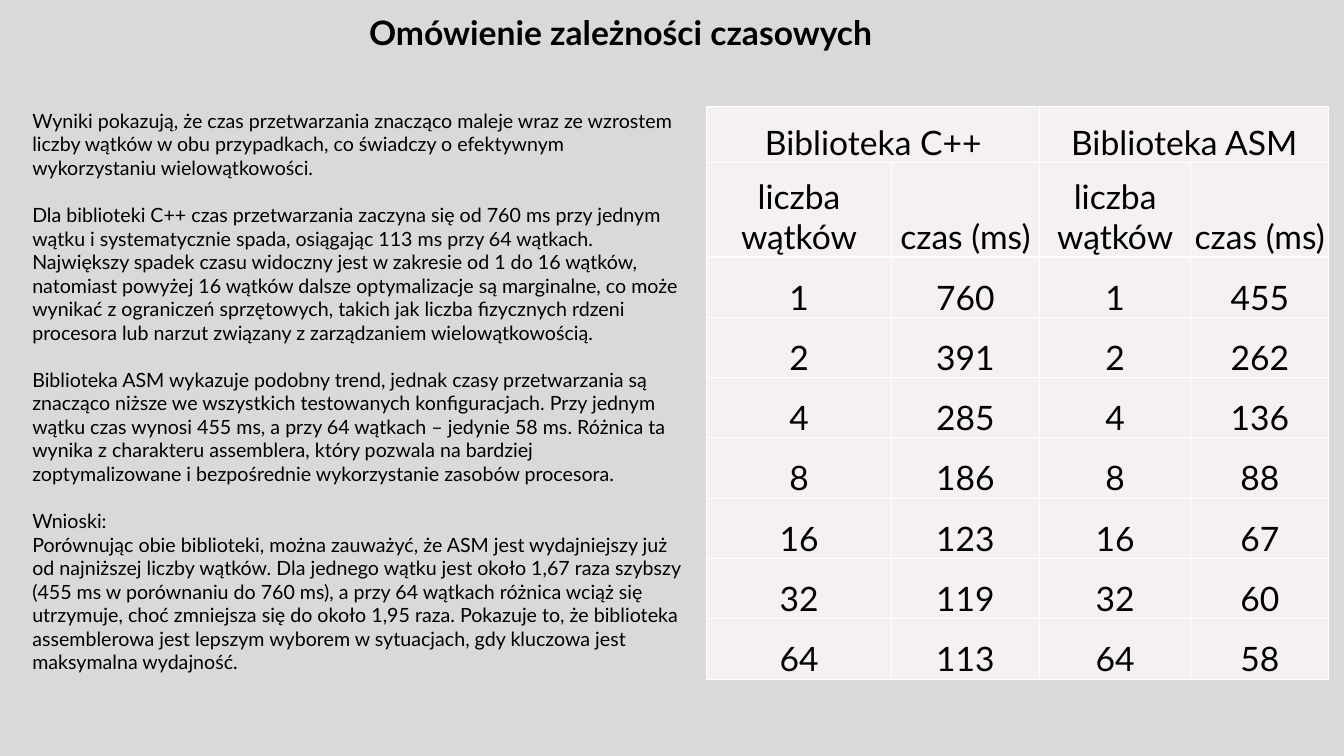
from dataclasses import dataclass

from lxml.etree import SubElement
from pptx import Presentation
from pptx.dml.color import RGBColor as Color
from pptx.enum.text import MSO_ANCHOR as Anchor, MSO_AUTO_SIZE as AutoSize, PP_ALIGN as Align
from pptx.oxml import parse_xml
from pptx.oxml.ns import nsdecls, qn
from pptx.util import Inches, Pt


@dataclass(frozen=True)
class Theme:
    font: str = "Lato"
    ink: str = "000000"
    background: str = "D9D9D9"
    cell: str = "F5F1F2"
    border: str = "FFFFFF"
    heading_size: int = 24
    body_size: int = 14
    paragraph_gap: float = 16.8


TITLE = "Omówienie zależności czasowych"
BODY = [
    ["Wyniki pokazują, że czas przetwarzania znacząco maleje wraz ze wzrostem liczby wątków "
     "w obu przypadkach, co świadczy o efektywnym wykorzystaniu wielowątkowości."],
    ["Dla biblioteki C++ czas przetwarzania zaczyna się od 760 ms przy jednym wątku "
     "i systematycznie spada, osiągając 113 ms przy 64 wątkach. Największy spadek czasu "
     "widoczny jest w zakresie od 1 do 16 wątków, natomiast powyżej 16 wątków dalsze "
     "optymalizacje są marginalne, co może wynikać z ograniczeń sprzętowych, takich jak "
     "liczba fizycznych rdzeni procesora lub narzut związany z zarządzaniem wielowątkowością."],
    ["Biblioteka ASM wykazuje podobny trend, jednak czasy przetwarzania są znacząco niższe "
     "we wszystkich testowanych konfiguracjach. Przy jednym wątku czas wynosi 455 ms, "
     "a przy 64 wątkach – jedynie 58 ms. Różnica ta wynika z charakteru assemblera, który "
     "pozwala na bardziej zoptymalizowane i bezpośrednie wykorzystanie zasobów procesora."],
    ["Wnioski:",
     "Porównując obie biblioteki, można zauważyć, że ASM jest wydajniejszy już od najniższej "
     "liczby wątków. Dla jednego wątku jest około 1,67 raza szybszy (455 ms w porównaniu do "
     "760 ms), a przy 64 wątkach różnica wciąż się utrzymuje, choć zmniejsza się do około "
     "1,95 raza. Pokazuje to, że biblioteka assemblerowa jest lepszym wyborem w sytuacjach, "
     "gdy kluczowa jest maksymalna wydajność."],
]
LIBRARIES = ["Biblioteka C++", "Biblioteka ASM"]
CPP_TIMES = [760, 391, 285, 186, 123, 119, 113]
ASM_TIMES = [455, 262, 136, 88, 67, 60, 58]


class SlideBuilder:
    """Places themed elements on a slide measured in 100 columns and 100 rows."""

    def __init__(self, presentation, theme):
        self.theme = theme
        self.column = presentation.slide_width / 100
        self.row = presentation.slide_height / 100
        self.slide = presentation.slides.add_slide(presentation.slide_layouts[1])
        self.paint(self.slide.background.fill, theme.background)

    def paint(self, fill, color):
        fill.solid()
        fill.fore_color.rgb = Color.from_string(color)

    def apply(self, target, formats):
        for name, value in formats.items():
            setattr(target, name, value)

    def box(self, left, top, width, height):
        return {"left": round(left * self.column), "top": round(top * self.row),
                "width": round(width * self.column), "height": round(height * self.row)}

    def fill_text(self, paragraph, text, size, bold=False, align=Align.LEFT, before=0):
        self.apply(paragraph, {"text": text, "alignment": align, "line_spacing": 1.0,
                               "space_before": Pt(before), "space_after": Pt(0)})
        self.apply(paragraph.runs[0].font,
                   {"name": self.theme.font, "size": Pt(size), "bold": bold})
        paragraph.runs[0].font.color.rgb = Color.from_string(self.theme.ink)

    def place(self, shape, area):
        self.apply(shape, self.box(*area))
        self.apply(shape.text_frame, {"word_wrap": True, "auto_size": AutoSize.NONE,
                                      "vertical_anchor": Anchor.TOP})
        return shape.text_frame

    def title(self, text, area):
        frame = self.place(self.slide.shapes.title, area)
        self.fill_text(frame.paragraphs[0], text, self.theme.heading_size, bold=True)

    def body(self, sections, area):
        frame = self.place(self.slide.placeholders[1], area)
        for section_index, section in enumerate(sections):
            for line_index, text in enumerate(section):
                first = section_index == line_index == 0
                paragraph = frame.paragraphs[0] if first else frame.add_paragraph()
                properties = paragraph._p.get_or_add_pPr()
                for name in ("marL", "indent"):
                    properties.set(name, "0")
                SubElement(properties, qn("a:buNone"))
                starts_section = section_index > 0 and line_index == 0
                self.fill_text(paragraph, text, self.theme.body_size,
                               before=self.theme.paragraph_gap if starts_section else 0)

    def outline(self, cell):
        properties = cell._tc.get_or_add_tcPr()
        for side in ("lnL", "lnR", "lnT", "lnB"):
            properties.append(parse_xml(
                f'<a:{side} {nsdecls("a")} w="{Pt(1)}"><a:solidFill>'
                f'<a:srgbClr val="{self.theme.border}"/></a:solidFill></a:{side}>'))

    def table(self, rows, left, top, widths, heights):
        area = self.box(left, top, sum(widths), sum(heights))
        table = self.slide.shapes.add_table(len(rows), len(widths), **area).table
        self.apply(table, {"first_row": False, "horz_banding": False})
        for column, width in zip(table.columns, widths):
            column.width = round(width * self.column)
        for row, height in zip(table.rows, heights):
            row.height = round(height * self.row)
        for row_index, values in enumerate(rows):
            for column_index, value in enumerate(values):
                cell = table.cell(row_index, column_index)
                self.outline(cell)
                self.paint(cell.fill, self.theme.cell)
                self.apply(cell, {"vertical_anchor": Anchor.BOTTOM, "margin_bottom": 0,
                                  "margin_left": Inches(0.01), "margin_right": Inches(0.01),
                                  "margin_top": Inches(0.01)})
                if value:
                    self.fill_text(cell.text_frame.paragraphs[0], value,
                                   self.theme.heading_size, align=Align.CENTER)
        return table


def main():
    presentation = Presentation()
    presentation.slide_width, presentation.slide_height = Inches(13.33), Inches(7.5)
    builder = SlideBuilder(presentation, Theme())
    builder.title(TITLE, (26.71, 0.93, 49.96, 6.67))
    builder.body(BODY, (1.65, 13.73, 49.96, 76.8))

    rows = [[LIBRARIES[0], "", LIBRARIES[1], ""], ["liczba wątków", "czas (ms)"] * 2]
    for power, (cpp_time, asm_time) in enumerate(zip(CPP_TIMES, ASM_TIMES)):
        threads = str(2 ** power)
        rows.append([threads, str(cpp_time), threads, str(asm_time)])
    table = builder.table(rows, 52.59, 14.13, [13.73, 11.03, 11.25, 10.28],
                          [7.33, 12.53] + [7.98] * len(CPP_TIMES))
    for column in (0, 2):
        table.cell(0, column).merge(table.cell(0, column + 1))
    presentation.save("out.pptx")


if __name__ == "__main__":
    main()
